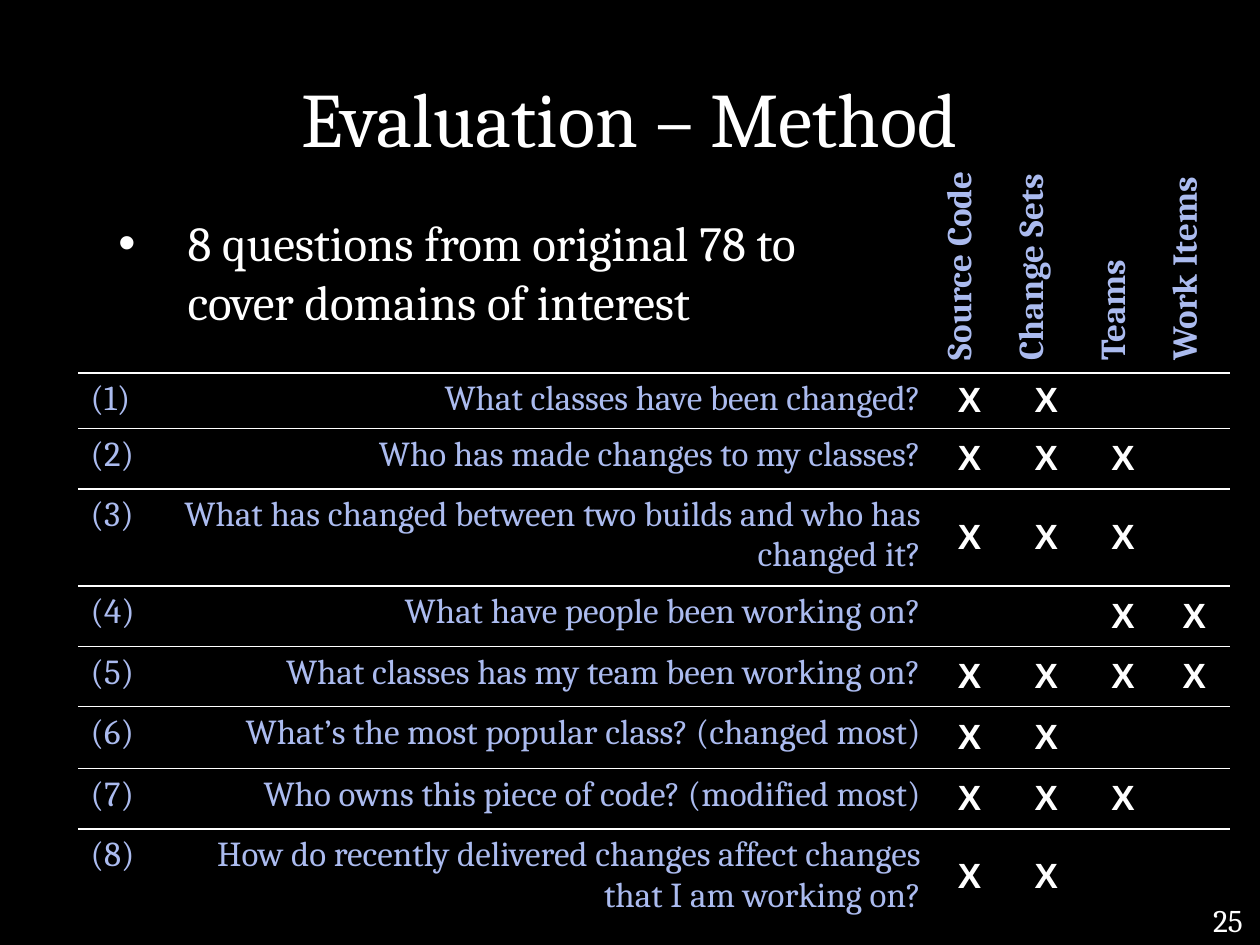
from lxml.etree import SubElement
from pptx import Presentation
from pptx.dml.color import RGBColor
from pptx.enum.text import MSO_ANCHOR as Anchor, PP_ALIGN as Align
from pptx.oxml.ns import qn
from pptx.util import Inches, Pt

BLACK = RGBColor(0x00, 0x00, 0x00)
WHITE = RGBColor(0xFF, 0xFF, 0xFF)
PERIWINKLE = RGBColor(0xAB, 0xBB, 0xEF)

DOMAINS = ["Source Code", "Change Sets", "Teams", "Work Items"]
QUESTIONS = [
    ("What classes have been changed?", "XX--"),
    ("Who has made changes to my classes?", "XXX-"),
    ("What has changed between two builds and who has changed it?", "XXX-"),
    ("What have people been working on?", "--XX"),
    ("What classes has my team been working on?", "XXXX"),
    ("What’s the most popular class? (changed most)", "XX--"),
    ("Who owns this piece of code? (modified most)", "XXX-"),
    ("How do recently delivered changes affect changes that I am working on?", "XX--"),
]
COLUMN_WIDTHS = [0.62, 6.17, 0.57, 0.65, 0.57, 0.56]
ROW_HEIGHTS = [1.8, 0.44, 0.48, 0.77, 0.48, 0.48, 0.49, 0.48, 0.76]


def write(frame, text, size=20, color=PERIWINKLE, font="Cambria", bold=False,
          align=Align.LEFT, bullet=None):
    """Put one formatted paragraph in a text frame."""
    paragraph = frame.paragraphs[0]
    paragraph.alignment = align
    if bullet:
        properties = paragraph._p.get_or_add_pPr()
        properties.set("marL", str(Inches(0.55)))
        properties.set("indent", str(Inches(-0.55)))
        SubElement(properties, qn("a:buFont"), typeface="Arial")
        SubElement(properties, qn("a:buChar"), char=bullet)
    run = paragraph.add_run()
    run.text = text
    run.font.size = Pt(size)
    run.font.name = font
    run.font.bold = bold
    run.font.color.rgb = color


def add_text(slide, text, left, top, width, height, **style):
    """Add a wrapping text box."""
    frame = slide.shapes.add_textbox(
        Inches(left), Inches(top), Inches(width), Inches(height)).text_frame
    frame.word_wrap = True
    write(frame, text, **style)


def set_borders(cell, visible_sides):
    """Draw white lines on the visible sides and none on the others."""
    properties = cell._tc.get_or_add_tcPr()
    for side in "LRTB":
        line = SubElement(properties, qn(f"a:ln{side}"), w=str(Pt(1)))
        if side in visible_sides:
            fill = SubElement(line, qn("a:solidFill"))
            SubElement(fill, qn("a:srgbClr"), val=str(WHITE))
        else:
            SubElement(line, qn("a:noFill"))


def add_title(slide, text):
    """Place and format the title placeholder."""
    title = slide.shapes.title
    title.left, title.top = Inches(0.5), Inches(0.3)
    title.width, title.height = Inches(9), Inches(1.25)
    title.text_frame.vertical_anchor = Anchor.MIDDLE
    write(title.text_frame, text, size=44, color=WHITE, align=Align.CENTER)


def add_question_table(slide):
    """Add the matrix of questions against domains."""
    table = slide.shapes.add_table(
        len(ROW_HEIGHTS), len(COLUMN_WIDTHS), Inches(0.62), Inches(1.16),
        Inches(sum(COLUMN_WIDTHS)), Inches(sum(ROW_HEIGHTS))).table
    table.first_row = table.horz_banding = False
    for column, width in zip(table.columns, COLUMN_WIDTHS):
        column.width = Inches(width)
    last = len(ROW_HEIGHTS) - 1
    for index, height in enumerate(ROW_HEIGHTS):
        table.rows[index].height = Inches(height)
        visible_sides = {0: "B", last: "T"}.get(index, "TB")
        for cell in table.rows[index].cells:
            set_borders(cell, visible_sides)
            cell.fill.background()

    for column, domain in enumerate(DOMAINS, start=2):
        heading = table.cell(0, column)
        heading.vertical_anchor = Anchor.MIDDLE
        heading._tc.get_or_add_tcPr().set("vert", "vert270")
        write(heading.text_frame, domain, bold=True)

    for row, (question, marks) in enumerate(QUESTIONS, start=1):
        write(table.cell(row, 0).text_frame, f"({row})")
        write(table.cell(row, 1).text_frame, question, align=Align.RIGHT)
        for column, mark in enumerate(marks, start=2):
            if mark == "X":
                cell = table.cell(row, column)
                cell.vertical_anchor = Anchor.MIDDLE
                write(cell.text_frame, mark, color=WHITE, font="Arial", bold=True,
                      align=Align.CENTER)


def main():
    """Build and save the slide."""
    deck = Presentation()
    deck.slide_width, deck.slide_height = Inches(10), Inches(7.5)
    slide = deck.slides.add_slide(deck.slide_layouts[5])
    slide.background.fill.solid()
    slide.background.fill.fore_color.rgb = BLACK
    add_title(slide, "Evaluation – Method")
    add_question_table(slide)
    add_text(slide, "8 questions from original 78 to cover domains of interest",
             0.84, 1.64, 6.19, 1.25, size=28, color=WHITE, bullet="•")
    add_text(slide, "25", 9.53, 7.1, 0.47, 0.4, size=18, color=WHITE)
    deck.save("out.pptx")


if __name__ == "__main__":
    main()
